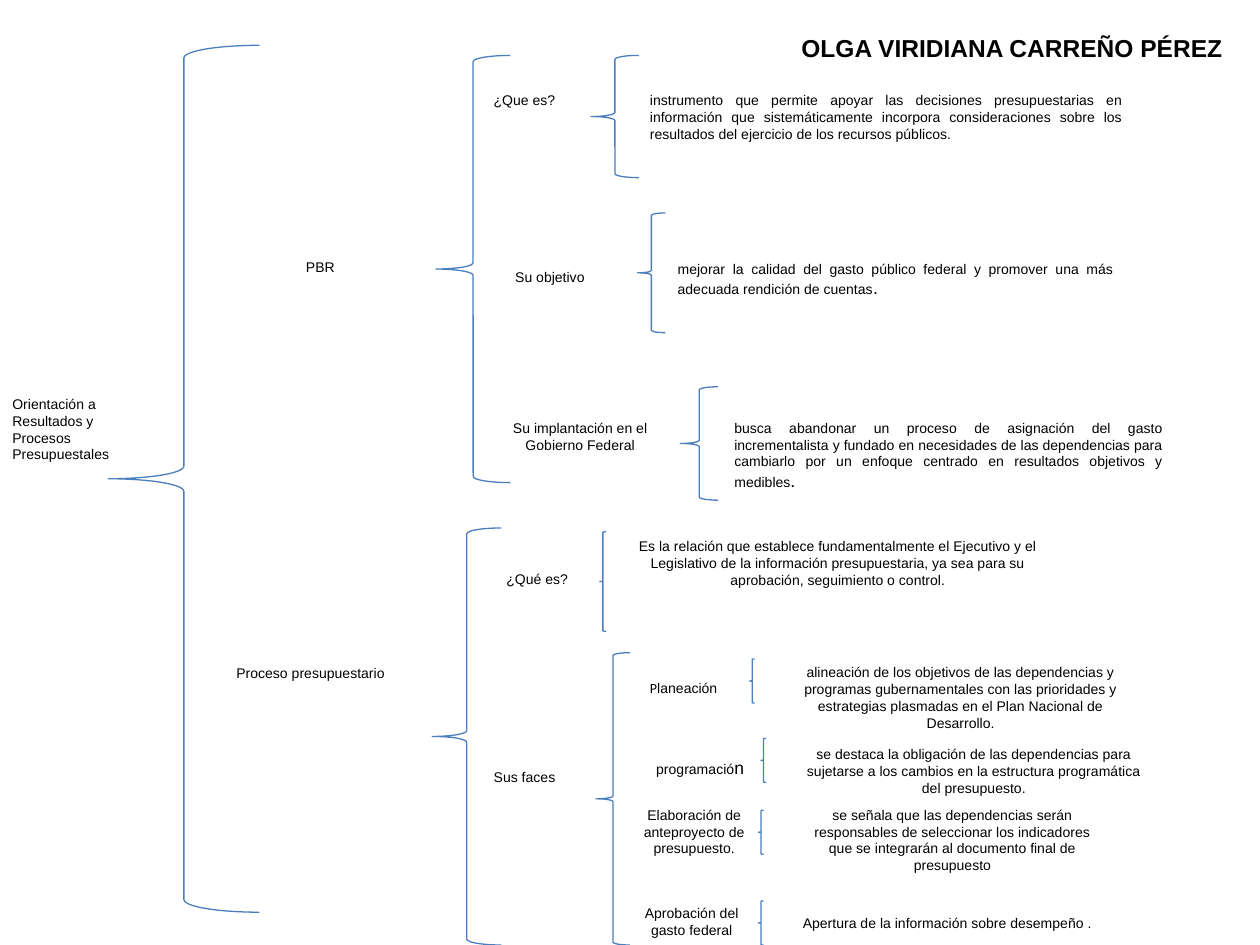
from pptx import Presentation
from pptx import util as u
from pptx.dml.color import RGBColor
from pptx.enum import shapes, text

theme = {
    "ink": RGBColor(0x00, 0x00, 0x00),
    "brace": RGBColor(0x4B, 0x7E, 0xBC),
    "font": "Arial",
    "alternate": "Calibri",
    "title": 14,
    "label": 8,
    "accent": 10,
    "line": 0.75,
}
LEFT, CENTER, JUSTIFY = text.PP_ALIGN.LEFT, text.PP_ALIGN.CENTER, text.PP_ALIGN.JUSTIFY


def add_span(para, words, size=theme["label"], font=theme["font"], bold=False):
    span = para.add_run()
    span.text = words
    span.font.size = u.Pt(size)
    span.font.name = font
    span.font.bold = bold
    span.font.color.rgb = theme["ink"]


deck = Presentation()
deck.slide_width, deck.slide_height = u.Inches(10), u.Inches(7.5)
page = deck.slides.add_slide(deck.slide_layouts[5])

# Braces: left, top, width, height
braces = [
    # Whole diagram and its two branches
    (0.86, 0.36, 1.2, 6.88),
    (3.46, 0.44, 0.59, 3.39),
    (3.43, 4.19, 0.55, 3.31),
    # PBR topics
    (4.69, 0.44, 0.38, 0.97),
    (5.06, 1.69, 0.22, 0.95),
    (5.4, 3.07, 0.3, 0.9),
    # Budget process topics
    (4.76, 4.22, 0.05, 0.79),
    (4.73, 5.18, 0.27, 2.32),
]
# One small brace for each phase
braces += [(left, top, 0.04, 0.35)
           for left, top in [(5.95, 5.23), (6.04, 5.86), (6.02, 6.43), (6.02, 7.15)]]

for bounds in braces:
    brace = page.shapes.add_shape(shapes.MSO_SHAPE.LEFT_BRACE, *map(u.Inches, bounds))
    brace.shadow.inherit = False
    brace.fill.background()
    brace.line.color.rgb = theme["brace"]
    brace.line.width = u.Pt(theme["line"])

# Texts: bounds, alignment, paragraphs; a paragraph is a list of (words, format)
plain = {}
large = {"size": theme["accent"]}
large_alternate = {"size": theme["accent"], "font": theme["alternate"]}
alternate = {"font": theme["alternate"]}
texts = [
    # Root and branches
    ((0, 3.09, 1.13, 0.64), JUSTIFY, [
        [("Orientación a", plain)],
        [("Resultados y", plain)],
        [("Procesos Presupuestales", plain)]]),
    ((2.33, 2, 0.94, 0.15), LEFT, [[("PBR", plain)]]),
    ((1.77, 5.25, 1.39, 0.07), CENTER, [[("Proceso presupuestario", plain)]]),
    # PBR topics
    ((3.82, 0.68, 0.86, 0.24), LEFT, [[("¿Que es?", plain)]]),
    ((5.06, 0.68, 3.95, 0.5), JUSTIFY, [[(
        "instrumento que permite apoyar las decisiones presupuestarias en información que "
        "sistemáticamente incorpora consideraciones sobre los resultados del ejercicio de "
        "los recursos públicos.", plain)]]),
    ((3.99, 2.08, 0.88, 0.24), LEFT, [[("Su objetivo", plain)]]),
    ((5.28, 2.02, 3.66, 0.4), JUSTIFY, [[(
        "mejorar la calidad del gasto público federal y promover una más adecuada "
        "rendición de cuentas", plain), (".", large)]]),
    ((3.82, 3.28, 1.57, 0.23), CENTER, [[("Su implantación en el Gobierno Federal", plain)]]),
    ((5.73, 3.28, 3.6, 0.67), JUSTIFY, [[(
        "busca abandonar un proceso de asignación del gasto incrementalista y fundado en "
        "necesidades de las dependencias para cambiarlo por un enfoque centrado en "
        "resultados objetivos y medibles", plain), (".", large_alternate)]]),
    # Budget process topics
    ((3.92, 4.48, 0.88, 0.24), LEFT, [[("¿Qué es?", plain)]]),
    ((4.84, 4.22, 3.62, 0.81), CENTER, [[(
        "Es la relación que establece fundamentalmente el Ejecutivo y el Legislativo de la "
        "información presupuestaria, ya sea para su aprobación, seguimiento o control.",
        plain)]]),
    ((3.82, 6.05, 1.17, 0.24), LEFT, [[("Sus faces", plain)]]),
    # Phases
    ((5.06, 5.34, 0.89, 0.13), LEFT, [[("P", alternate), ("laneación", plain)]]),
    ((6.26, 5.22, 2.73, 0.27), CENTER, [[(
        "alineación de los objetivos de las dependencias y programas gubernamentales con "
        "las prioridades y estrategias plasmadas en el Plan Nacional de Desarrollo.",
        plain)]]),
    ((5.11, 5.96, 1, 0.27), LEFT, [[("programació", plain), ("n", large)]]),
    ((6.28, 5.87, 2.9, 0.36), CENTER, [[(
        "se destaca la obligación de las dependencias para sujetarse a los cambios en la "
        "estructura programática del presupuesto.", plain)]]),
    ((4.92, 6.35, 1.18, 0.5), CENTER, [[("Elaboración de anteproyecto de presupuesto.", plain)]]),
    ((6.26, 6.35, 2.6, 0.94), CENTER, [[(
        "se señala que las dependencias serán responsables de seleccionar los indicadores "
        "que se integrarán al documento final de presupuesto", plain)]]),
    ((5, 7.13, 0.98, 0.37), CENTER, [[("Aprobación del gasto federal", plain)]]),
    ((6.02, 7.21, 3, 0.29), CENTER, [[("Apertura de la información sobre desempeño .", plain)]]),
]

for bounds, alignment, paragraphs in texts:
    box = page.shapes.add_textbox(*map(u.Inches, bounds))
    frame = box.text_frame
    frame.word_wrap = True
    frame.auto_size = text.MSO_AUTO_SIZE.SHAPE_TO_FIT_TEXT
    for index, spans in enumerate(paragraphs):
        para = frame.add_paragraph() if index else frame.paragraphs[0]
        para.alignment = alignment
        for words, style in spans:
            add_span(para, words, **style)

# Title
title = page.shapes.title
title.left, title.top, title.width, title.height = map(u.Inches, (6.26, 0.21, 3.57, 0.34))
title.text_frame.word_wrap = False
title.text_frame.auto_size = text.MSO_AUTO_SIZE.SHAPE_TO_FIT_TEXT
title.text_frame.vertical_anchor = text.MSO_ANCHOR.TOP
title_para = title.text_frame.paragraphs[0]
title_para.alignment = LEFT
add_span(title_para, "OLGA VIRIDIANA CARREÑO PÉREZ", size=theme["title"], bold=True)

deck.save("out.pptx")
